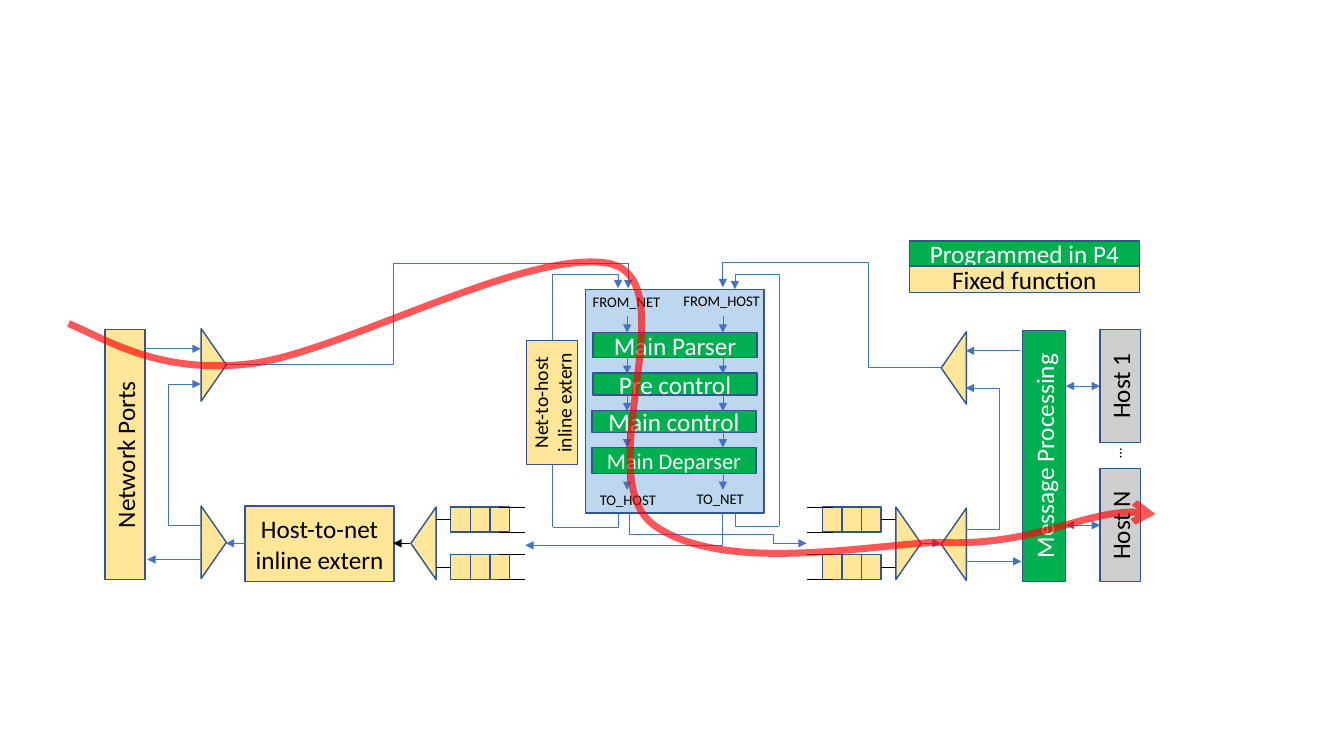
from lxml import etree
from pptx import Presentation
from pptx.dml.color import RGBColor
from pptx.enum.shapes import MSO_CONNECTOR, MSO_SHAPE
from pptx.enum.text import MSO_ANCHOR, PP_ALIGN
from pptx.oxml.ns import qn
from pptx.util import Inches, Pt

RECTANGLE, TRIANGLE = MSO_SHAPE.RECTANGLE, MSO_SHAPE.ISOSCELES_TRIANGLE
STRAIGHT, ELBOW = MSO_CONNECTOR.STRAIGHT, MSO_CONNECTOR.ELBOW
MIDDLE, CENTER, LEFT = MSO_ANCHOR.MIDDLE, PP_ALIGN.CENTER, PP_ALIGN.LEFT

COLORS = {"programmed": "00B050", "fixed": "FFE699", "host": "D0CECE",
          "pipeline": "BDD7EE", "border": "325491", "wire": "4472C4",
          "black": "000000", "white": "FFFFFF", "packet": "FF0000"}

# text, kind, (left, top, width, height), rotation, size
BLOCKS = [
    ("Message Processing", "programmed", (10.14, 3.28, 0.43, 2.49), 270, 18),
    ("Network Ports", "fixed", (1.04, 3.27, 0.4, 2.48), 270, 18),
    ("Host 1", "host", (10.91, 3.27, 0.4, 1.12), 270, 18),
    ("Host N", "host", (10.91, 4.65, 0.4, 1.12), 270, 18),
    ("Host-to-net inline extern", "fixed", (2.43, 5.02, 1.48, 0.75), 0, 18),
    ("Net-to-host inline extern", "fixed", (5.22, 3.38, 0.51, 1.23), 270, 14),
    ("Programmed in P4", "programmed", (9.02, 2.39, 2.28, 0.25), 0, 18),
    ("Fixed function", "fixed", (9.02, 2.64, 2.28, 0.26), 0, 18),
    ("", "pipeline", (5.81, 2.87, 1.77, 2.22), 0, 18),
    ("Main Parser", "programmed", (5.88, 3.3, 1.63, 0.25), 0, 18),
    ("Pre control", "programmed", (5.88, 3.7, 1.63, 0.22), 0, 18),
    ("Main control", "programmed", (5.87, 4.07, 1.63, 0.22), 0, 18),
    ("Main Deparser", "programmed", (5.87, 4.44, 1.63, 0.26), 0, 16),
]
PORT_LABELS = [
    ("FROM_NET", (5.78, 2.86, 0.89, 0.28)),
    ("FROM_HOST", (6.68, 2.85, 0.98, 0.28)),
    ("TO_HOST", (5.85, 4.82, 0.78, 0.28)),
    ("TO_NET", (6.81, 4.81, 0.68, 0.28)),
]
MORE_HOSTS = ("…", (10.93, 4.39, 0.28, 0.26))

MUX_WIDTH, MUX_HEIGHT = 0.25, 0.72
MUXES = [(2.12, 3.62, 90), (2.12, 5.38, 90), (9.46, 3.65, 270),
         (9.46, 5.4, 270), (4.2, 5.39, 270), (9.01, 5.39, 90)]

QUEUE_TOPS, CELL_WIDTH, CELL_HEIGHT, CELLS = (5.03, 5.5), 0.195, 0.25, 3
QUEUE_LEFT, FEED_END, RAIL = 4.47, 4.32, (4.95, 5.21)
MIRROR = 13.21

PIPELINE_LANES = (6.22, 7.17)
STAGE_GAPS = [(3.14, 3.3), (3.55, 3.71), (3.92, 4.08), (4.29, 4.44), (4.7, 4.86)]

PLAIN_WIRES = [
    [(1.99, 5.21), (1.67, 5.21), (1.67, 4.4)],
    [(9.58, 5.25), (9.91, 5.25), (9.91, 4.43)],
    [(6.24, 5.09), (6.24, 5.3), (7.67, 5.3)],
    [(7.67, 5.39), (7.67, 5.3)],
    [(7.29, 5.09), (7.29, 5.22), (7.73, 5.22)],
    [(7.73, 5.22), (7.73, 2.72)],
    [(6.13, 5.1), (6.13, 5.23), (5.48, 5.23)],
    [(5.48, 3.38), (5.48, 2.72)],
    [(5.48, 5.23), (5.48, 4.61)],
]
ARROW_WIRES = [
    [(1.67, 4.42), (1.67, 3.81), (1.99, 3.81)],
    [(1.45, 3.46), (1.99, 3.46)],
    [(1.99, 5.55), (1.46, 5.55)],
    [(2.43, 5.39), (2.24, 5.39)],
    [(2.24, 3.62), (3.9, 3.62), (3.9, 2.61), (6.23, 2.61), (6.23, 2.86)],
    [(9.33, 3.64), (8.61, 3.64), (8.61, 2.6), (7.17, 2.6), (7.17, 2.85)],
    [(9.91, 4.45), (9.91, 3.85), (9.58, 3.85)],
    [(9.58, 5.57), (10.13, 5.57)],
    [(10.12, 3.48), (9.58, 3.48)],
    [(9.14, 5.39), (9.33, 5.39)],
    [(7.16, 5.09), (7.16, 5.41), (5.21, 5.41)],
    [(7.73, 2.72), (7.29, 2.72), (7.29, 2.87)],
    [(5.48, 2.72), (6.13, 2.72), (6.13, 2.86)],
    [(7.67, 5.39), (8, 5.39)],
]
HOST_LINKS = [[(10.57, y), (10.91, y)] for y in (3.83, 5.21)]

PACKET_PATH = [
    (0.68, 3.21), (1.08, 3.38), (1.58, 3.71), (2.47, 3.61),
    (3.36, 3.51), (5.17, 2.48), (6.02, 2.61),
    (6.86, 2.75), (5.81, 4.75), (6.5, 5.22),
    (7.18, 5.69), (8.6, 5.41), (9.29, 5.38),
    (10.22, 5.43), (10.88, 4.98), (11.46, 5.1),
]

deck = Presentation()
deck.slide_width, deck.slide_height = Inches(13.33), Inches(7.5)
shapes = deck.slides.add_slide(deck.slide_layouts[6]).shapes


def rgb(name):
    return RGBColor.from_string(COLORS[name])


def unrotated(box, rotation):
    left, top, width, height = box
    if rotation % 180:
        left, top = left + (width - height) / 2, top + (height - width) / 2
        width, height = height, width
    return [Inches(v) for v in (left, top, width, height)]


def write(shape, text, size, color, align):
    paragraph = shape.text_frame.paragraphs[0]
    paragraph.text, paragraph.alignment = text, align
    paragraph.font.name, paragraph.font.size = "Calibri", Pt(size)
    paragraph.font.color.rgb = rgb(color)


def add_block(preset, kind, box, rotation=0, text="", size=18):
    block = shapes.add_shape(preset, *unrotated(box, rotation))
    block.rotation = rotation
    block.shadow.inherit = False
    block.fill.solid()
    block.fill.fore_color.rgb = rgb(kind)
    block.line.color.rgb, block.line.width = rgb("border"), Pt(1)
    if text:
        block.text_frame.word_wrap = True
        block.text_frame.vertical_anchor = MIDDLE
        write(block, text, size, "white" if kind == "programmed" else "black", CENTER)


def add_label(text, box, rotation=0, wrap=False, align=LEFT):
    label = shapes.add_textbox(*unrotated(box, rotation))
    label.rotation = rotation
    label.text_frame.word_wrap = wrap
    write(label, text, 10.5, "black", align)


def add_ends(line, **ends):
    outline = line.line._get_or_add_ln()
    for end in ("headEnd", "tailEnd"):
        if end in ends:
            etree.SubElement(outline, qn("a:" + end), type=ends[end])


def add_wire(points, color="wire", **ends):
    (x1, y1), (x2, y2) = begin, finish = points[0], points[-1]
    bent = len(points) > 2
    upright = bent and points[1][0] == x1
    if upright:
        cx, cy, dx, dy = (x1 + x2) / 2, (y1 + y2) / 2, (x1 - x2) / 2, (y1 - y2) / 2
        begin, finish = (cx + dy, cy - dx), (cx - dy, cy + dx)
    wire = shapes.add_connector(ELBOW if bent else STRAIGHT,
                                *[Inches(v) for v in begin + finish])
    wire.line.color.rgb, wire.line.width = rgb(color), Pt(0.5)
    properties = wire._element.spPr
    if upright:
        properties.find(qn("a:xfrm")).set("rot", "5400000")
    if bent:
        geometry = properties.find(qn("a:prstGeom"))
        geometry.set("prst", f"bentConnector{len(points) - 1}")
    if len(points) == 5:
        shares = ((points[1][0] - x1) / (x2 - x1), (points[2][1] - y1) / (y2 - y1))
        guides = geometry.get_or_add_avLst()
        for number, share in enumerate(shares, 1):
            etree.SubElement(guides, qn("a:gd"), name=f"adj{number}",
                             fmla=f"val {round(share * 100000)}")
    add_ends(wire, **ends)
    etree.SubElement(properties, qn("a:effectLst"))


def add_queue(top, place):
    for cell in range(CELLS):
        ends = [place(QUEUE_LEFT + (cell + step) * CELL_WIDTH) for step in (0, 1)]
        add_block(RECTANGLE, "fixed", (min(ends), top, CELL_WIDTH, CELL_HEIGHT))
    for y in (top, top + CELL_HEIGHT):
        add_wire([(place(x), y) for x in RAIL], "black")
    middle = top + CELL_HEIGHT / 2
    add_wire([(place(x), middle) for x in (QUEUE_LEFT, FEED_END)], "black")


def add_packet_flow():
    start, *rest = [(Inches(x), Inches(y)) for x, y in PACKET_PATH]
    builder = shapes.build_freeform(*start)
    builder.add_line_segments(rest, close=False)
    flow = builder.convert_to_shape()
    flow.shadow.inherit = False
    flow.fill.background()
    flow.line.color.rgb, flow.line.width = rgb("packet"), Pt(5)
    outline = flow.line._get_or_add_ln()
    etree.SubElement(next(outline.iter(qn("a:srgbClr"))), qn("a:alpha"), val="65000")
    add_ends(flow, tailEnd="arrow")
    track = next(flow._element.iter(qn("a:path")))
    steps = track.findall(qn("a:lnTo"))
    for first in range(0, len(steps), 3):
        curve = etree.SubElement(track, qn("a:cubicBezTo"))
        for step in steps[first:first + 3]:
            curve.append(step[0])
            track.remove(step)


for text, kind, box, rotation, size in BLOCKS:
    add_block(RECTANGLE, kind, box, rotation, text, size)
for x, y, rotation in MUXES:
    add_block(TRIANGLE, "fixed", (x - MUX_WIDTH / 2, y - MUX_HEIGHT / 2,
                                  MUX_WIDTH, MUX_HEIGHT), rotation)
for top in QUEUE_TOPS:
    add_queue(top, lambda x: x)
    add_queue(top, lambda x: MIRROR - x)
for text, box in PORT_LABELS:
    add_label(text, box)
add_label(*MORE_HOSTS, rotation=270, wrap=True, align=CENTER)

for points in PLAIN_WIRES:
    add_wire(points)
lane_arrows = [[(x, y) for y in gap] for x in PIPELINE_LANES for gap in STAGE_GAPS]
for points in ARROW_WIRES + lane_arrows:
    add_wire(points, tailEnd="triangle")
for points in HOST_LINKS:
    add_wire(points, headEnd="triangle", tailEnd="triangle")
add_wire([(4.07, 5.39), (3.9, 5.39)], "black", tailEnd="triangle")
add_packet_flow()

deck.save("out.pptx")
